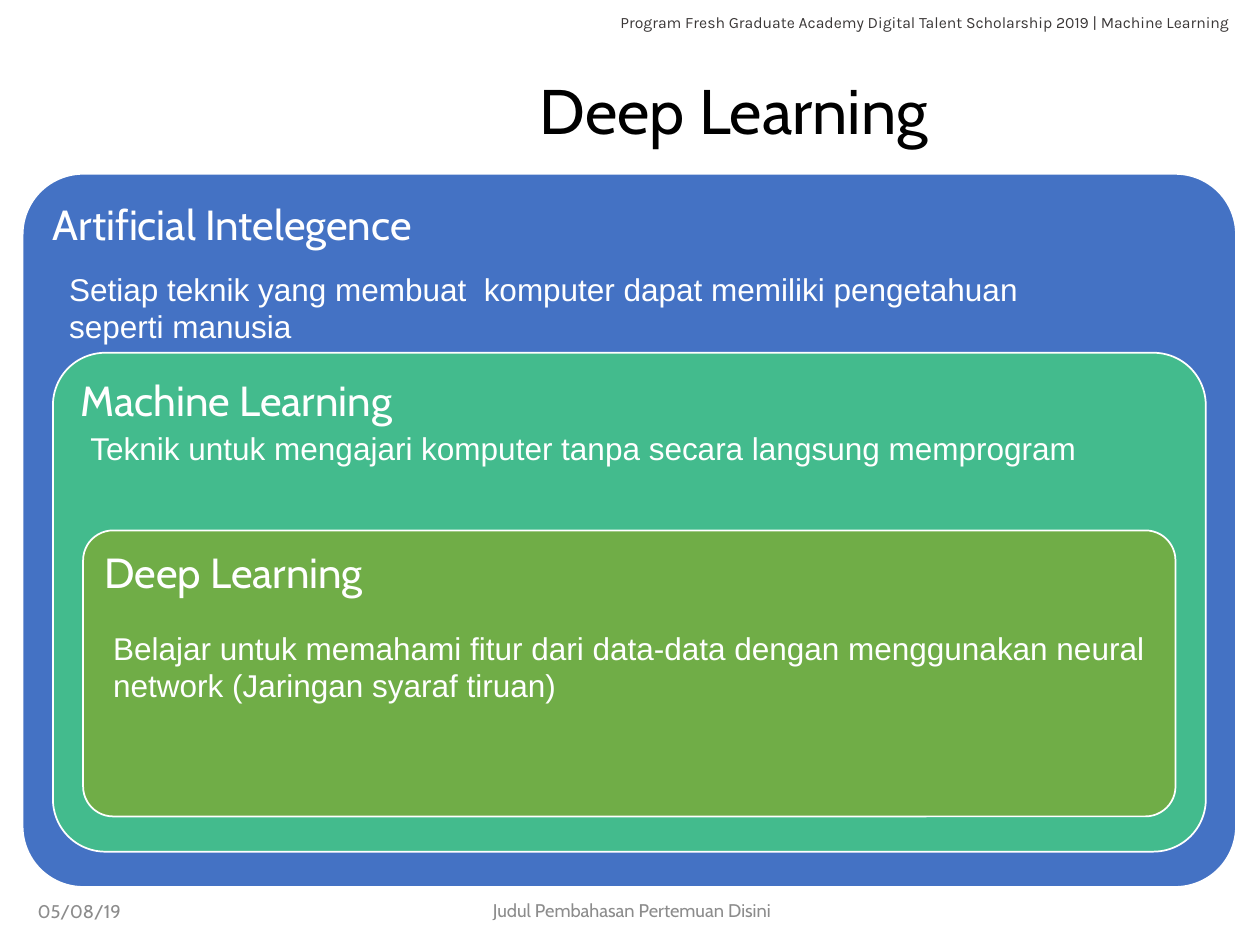
import pptx
import pptx.dml.color
import pptx.enum.shapes
import pptx.enum.text
import pptx.util

Inches = pptx.util.Inches
ALIGN = pptx.enum.text.PP_ALIGN
ANCHOR = pptx.enum.text.MSO_ANCHOR

COLORS = {
    "white": "FFFFFF",
    "black": "000000",
    "header": "3B3838",
    "footer": "8C8C8C",
    "blue": "4472C4",
    "teal": "43BB8D",
    "green": "70AD47",
}


def color(name):
    return pptx.dml.color.RGBColor.from_string(COLORS[name])


def write(frame, text, font="Cabin", size=18, ink="white", align=ALIGN.LEFT,
          anchor=ANCHOR.TOP, line_spacing=1.0):
    frame.word_wrap = True
    frame.auto_size = pptx.enum.text.MSO_AUTO_SIZE.NONE
    frame.vertical_anchor = anchor
    para = frame.paragraphs[0]
    para.alignment = align
    para.line_spacing = line_spacing
    span = para.add_run()
    span.text = text
    span.font.name = font
    span.font.size = pptx.util.Pt(size)
    span.font.color.rgb = color(ink)


class SlideBuilder:
    def __init__(self, page):
        self.page = page

    def title(self, text, place):
        box = self.page.shapes.title
        box.left, box.top, box.width, box.height = map(Inches, place)
        write(box.text_frame, text, size=36, ink="black", align=ALIGN.CENTER,
              anchor=ANCHOR.MIDDLE, line_spacing=0.9)

    def text(self, text, place, inset_top=0.05, **style):
        box = self.page.shapes.add_textbox(*map(Inches, place))
        box.text_frame.margin_top = Inches(inset_top)
        write(box.text_frame, text, **style)

    def panel(self, place, radius, fill):
        box = self.page.shapes.add_shape(
            pptx.enum.shapes.MSO_SHAPE.ROUNDED_RECTANGLE, *map(Inches, place))
        box.adjustments[0] = radius
        box.shadow.inherit = False
        box.fill.solid()
        box.fill.fore_color.rgb = color(fill)
        box.line.color.rgb = color("white")
        box.line.width = pptx.util.Pt(1)

    def level(self, heading, body, place, radius, fill, pad, body_place):
        """A nested panel with its heading and explanation."""
        self.panel(place, radius, fill)
        left, top, width, height = place
        inner = (left + pad, top + pad, width - 2 * pad, height - 2 * pad)
        self.text(heading, inner, inset_top=0.1, size=24, line_spacing=0.9)
        self.text(body, body_place, font="Arial")


def main():
    deck = pptx.Presentation()
    deck.slide_width, deck.slide_height = Inches(10), Inches(7.5)
    builder = SlideBuilder(deck.slides.add_slide(deck.slide_layouts[5]))

    # Header and title
    builder.text(
        "Program Fresh Graduate Academy Digital Talent Scholarship 2019 | Machine Learning",
        (4.28, 0.05, 5.57, 0.25), font="Karla", size=9, ink="header", align=ALIGN.RIGHT)
    builder.title("Deep Learning", (1.81, 0.44, 8.03, 0.93))

    # Footer
    footer = {"size": 10.5, "ink": "footer", "anchor": ANCHOR.MIDDLE}
    builder.text("05/08/19", (0.2, 7.03, 1.6, 0.4), **footer)
    builder.text("Judul Pembahasan Pertemuan Disini", (2.57, 7.02, 4.89, 0.4),
                 align=ALIGN.CENTER, **footer)

    # Nested levels, from the outermost inwards
    levels = [
        ("Artificial Intelegence",
         "Setiap teknik yang membuat  komputer dapat memiliki pengetahuan seperti manusia",
         (0.18, 1.38, 9.63, 5.66), 0.085, "blue", 0.14, (0.45, 2.09, 8.46, 0.71)),
        ("Machine Learning",
         "Teknik untuk mengajari komputer tanpa secara langsung memprogram",
         (0.42, 2.8, 9.15, 3.96), 0.105, "teal", 0.12, (0.62, 3.36, 8.46, 0.4)),
        ("Deep Learning",
         "Belajar untuk memahami fitur dari data-data dengan menggunakan neural "
         "network (Jaringan syaraf tiruan)",
         (0.66, 4.21, 8.67, 2.27), 0.105, "green", 0.07, (0.8, 4.94, 8.46, 0.71)),
    ]
    for level in levels:
        builder.level(*level)

    deck.save("out.pptx")


if __name__ == "__main__":
    main()
